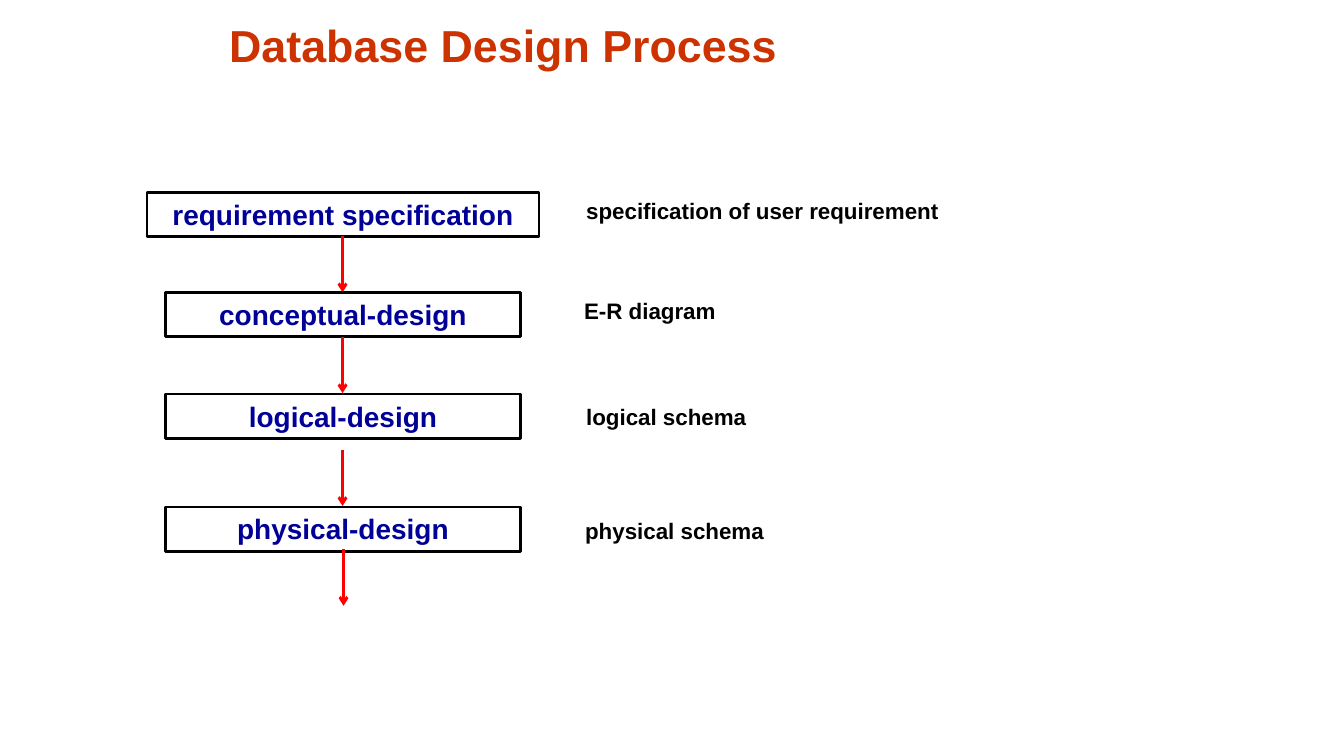
from lxml import etree
from pptx import Presentation
from pptx.dml.color import RGBColor
from pptx.enum.shapes import MSO_CONNECTOR, MSO_SHAPE
from pptx.enum.text import MSO_ANCHOR, PP_ALIGN
from pptx.oxml.ns import qn
from pptx.util import Pt

RECT = MSO_SHAPE.RECTANGLE
STRAIGHT = MSO_CONNECTOR.STRAIGHT
LEFT, CENTER = PP_ALIGN.LEFT, PP_ALIGN.CENTER
TOP, BOTTOM = MSO_ANCHOR.TOP, MSO_ANCHOR.BOTTOM
PX = 9144  # 100 px to the inch

HEAD = dict(size=32, color="CC3300", align=CENTER, anchor=BOTTOM)
STEP = dict(size=20, color="000099", align=CENTER, anchor=TOP)
NOTE = dict(size=16, color="000000", align=LEFT, anchor=TOP)

# step, step width, step top, arrow left, arrow top, output, output left, top, width
STAGES = [
    ("requirement specification", 389, 191, 340, 234,
     "specification of user requirement", 572, 191, 407),
    ("conceptual-design", 353, 290, 340, 334, "E-R diagram", 570, 290, 214),
    ("logical-design", 353, 391, 340, 446, "logical schema", 572, 395, 214),
    ("physical-design", 353, 503, 341, 545, "physical schema", 571, 508, 214),
]


def emu(*vals):
    return [round(v * PX) for v in vals]


def rgb(code):
    return RGBColor.from_string(code)


def write(shape, text, style):
    frame = shape.text_frame
    frame.word_wrap = True
    frame.vertical_anchor = style["anchor"]
    para = frame.paragraphs[0]
    para.text = text
    para.alignment = style["align"]
    font = para.runs[0].font
    for key, val in dict(name="Arial", size=Pt(style["size"]), bold=True).items():
        setattr(font, key, val)
    font.color.rgb = rgb(style["color"])


def label(slide, box, text, style):
    write(slide.shapes.add_textbox(*emu(*box)), text, style)


def step(slide, box, text):
    shape = slide.shapes.add_shape(RECT, *emu(*box))
    shape.shadow.inherit = False
    shape.fill.background()
    shape.line.color.rgb = rgb("000000")
    shape.line.width = Pt(2)
    write(shape, text, STEP)


def arrow(slide, x, y, size):
    line = slide.shapes.add_connector(STRAIGHT, *emu(x, y, x, y + size))
    line.line.color.rgb = rgb("FF0000")
    line.line.width = Pt(2)
    etree.SubElement(line.line._get_or_add_ln(), qn("a:tailEnd"), type="arrow")
    etree.SubElement(line._element.spPr, qn("a:effectLst"))


def flow(slide, box):
    """Steps centred in the left column, outputs to their right."""
    left, top, width = box
    for name, wide, y, ax, ay, out, ox, oy, ow in STAGES:
        y, ay, oy = (top + v - STAGES[0][2] for v in (y, ay, oy))
        ax, ox = (left + v - 146 for v in (ax, ox))
        step(slide, (left + (width - wide) / 2, y, wide, 44), name)
        arrow(slide, ax, ay, 56)
        label(slide, (ox, oy, ow, 37), out, NOTE)


def main():
    deck = Presentation()
    deck.slide_width, deck.slide_height = emu(1334, 750)
    slide = deck.slides.add_slide(deck.slide_layouts[6])
    # Title
    label(slide, (97, 9, 805, 67), "Database Design Process", HEAD)
    # Design stages
    flow(slide, (146, 191, 389))
    deck.save("out.pptx")


if __name__ == "__main__":
    main()
